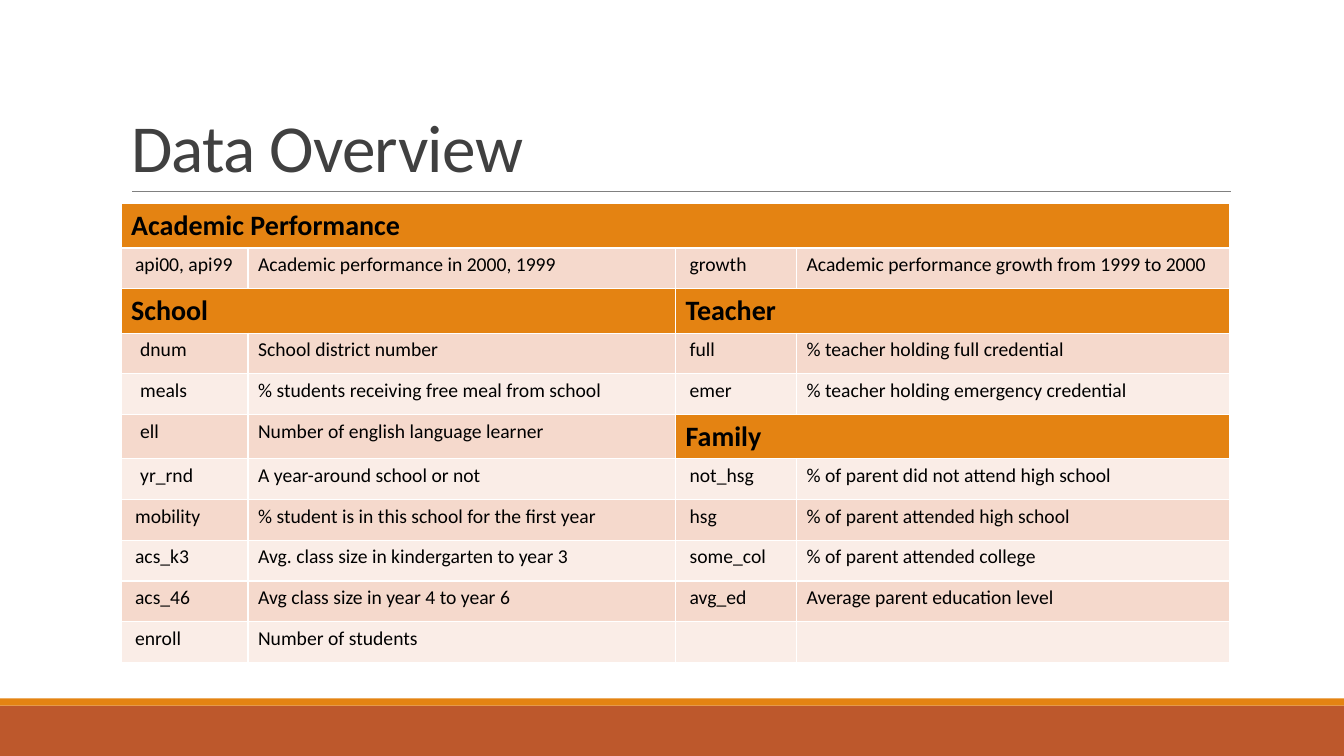
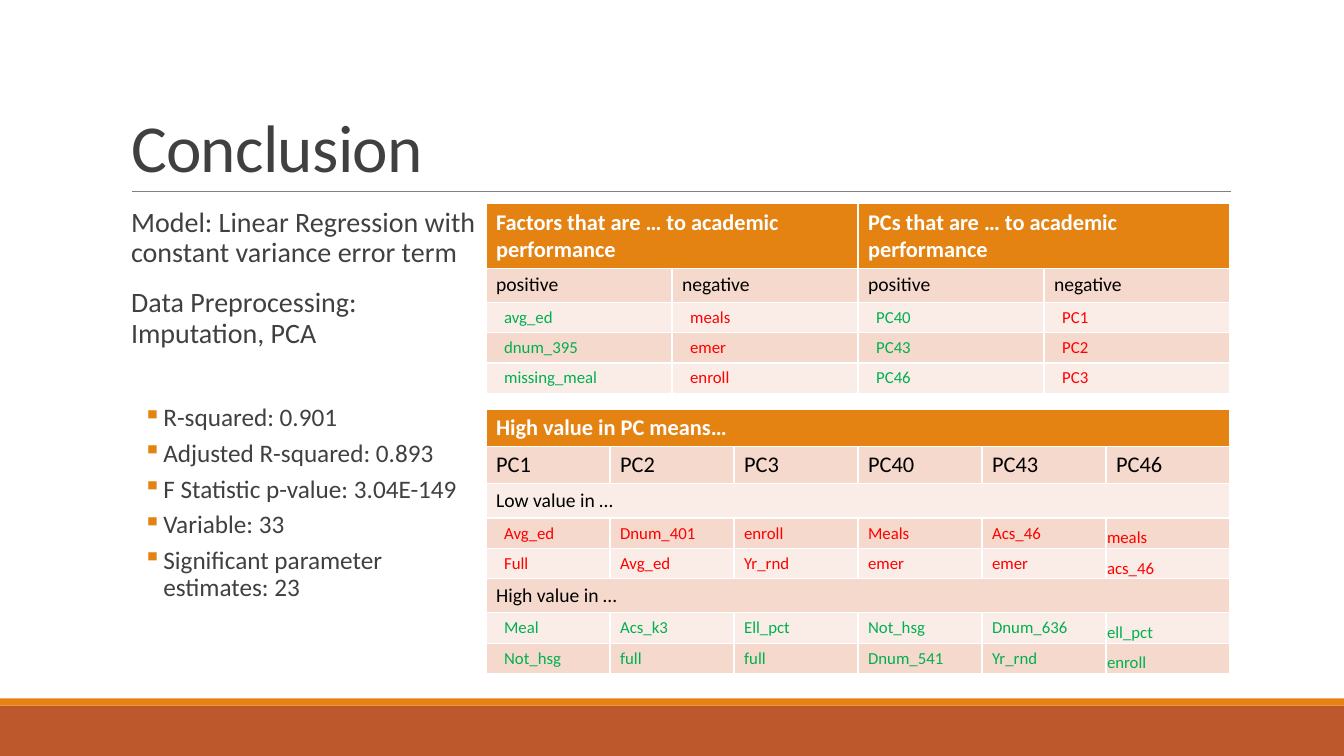
from dataclasses import dataclass

from lxml import etree
from pptx import Presentation
from pptx.dml.color import RGBColor
from pptx.enum.shapes import MSO_CONNECTOR, MSO_SHAPE
from pptx.enum.text import MSO_ANCHOR, MSO_AUTO_SIZE, PP_ALIGN
from pptx.oxml.ns import qn
from pptx.util import Inches, Pt

RECTANGLE = MSO_SHAPE.RECTANGLE
STRAIGHT = MSO_CONNECTOR.STRAIGHT
BOTTOM = MSO_ANCHOR.BOTTOM
TOP = MSO_ANCHOR.TOP
LEFT = PP_ALIGN.LEFT
NO_AUTOFIT = MSO_AUTO_SIZE.NONE

BLACK = RGBColor(0x00, 0x00, 0x00)
WHITE = RGBColor(0xFF, 0xFF, 0xFF)
DARK_GRAY = RGBColor(0x40, 0x40, 0x40)
RULE_GRAY = RGBColor(0x80, 0x80, 0x80)
ORANGE = RGBColor(0xE4, 0x83, 0x12)
RUST = RGBColor(0xBD, 0x58, 0x2C)
BAND_DARK = RGBColor(0xF5, 0xD9, 0xCC)
BAND_LIGHT = RGBColor(0xFA, 0xED, 0xE7)
GREEN = RGBColor(0x00, 0xB0, 0x50)
RED = RGBColor(0xFF, 0x00, 0x00)

FONT = "Calibri"
SLIDE_WIDTH = 13.33
CONTENT_LEFT = 1.2
CONTENT_TOP = 2.02
CONTENT_WIDTH = 11
TABLE_LEFT = 4.82
TABLE_WIDTH = 7.38
ROW_HEIGHTS = {16: 0.37, 14: 0.34, 12: 0.3}


@dataclass
class Cell:
    text: str
    size: int = 14
    color: RGBColor = BLACK
    span: int = 1
    heading: bool = False
    indent: float = 0
    tight: bool = False


def add_run(paragraph, text, size, color, bold=False):
    run = paragraph.add_run()
    run.text = text
    run.font.name = FONT
    run.font.size = Pt(size)
    run.font.bold = bold
    run.font.color.rgb = color
    return run


def add_band(slide, top, height, color):
    band = slide.shapes.add_shape(
        RECTANGLE, 0, Inches(top), Inches(SLIDE_WIDTH), Inches(height)
    )
    band.shadow.inherit = False
    band.fill.solid()
    band.fill.fore_color.rgb = color
    band.line.fill.background()
    return band


def add_rule(slide):
    rule = slide.shapes.add_connector(
        STRAIGHT, Inches(1.31), Inches(1.9), Inches(12.21), Inches(1.9)
    )
    rule.line.color.rgb = RULE_GRAY
    rule.line.width = Pt(0.5)
    etree.SubElement(rule.element.spPr, qn("a:effectLst"))
    return rule


def decorate_layout(layout, slide):
    decorations = [
        add_band(slide, 7, 0.5, RUST),
        add_band(slide, 6.93, 0.07, ORANGE),
        add_rule(slide),
    ]
    for decoration in decorations:
        layout.shapes.element.append(decoration.element)


def set_title(slide, text):
    title = slide.shapes.title
    title.left, title.top = Inches(CONTENT_LEFT), Inches(0.31)
    title.width, title.height = Inches(CONTENT_WIDTH), Inches(1.59)
    frame = title.text_frame
    frame.auto_size = NO_AUTOFIT
    frame.vertical_anchor = BOTTOM
    paragraph = frame.paragraphs[0]
    paragraph.alignment = LEFT
    paragraph.line_spacing = 0.85
    run = add_run(paragraph, text, 48, DARK_GRAY)
    run.font._element.set("spc", "-50")


def fill_cell(table_cell, cell, band_color):
    table_cell.fill.solid()
    table_cell.fill.fore_color.rgb = ORANGE if cell.heading else band_color
    if cell.tight:
        table_cell.margin_left = table_cell.margin_right = Inches(0.01)
        table_cell.margin_top = Inches(0.01)
        table_cell.margin_bottom = 0
        table_cell.vertical_anchor = BOTTOM
    else:
        table_cell.margin_left = Inches(0.1 + cell.indent)
    add_run(table_cell.text_frame.paragraphs[0], cell.text,
            cell.size, cell.color, cell.heading)


def add_grid(slide, left, top, widths, heights, rows):
    table = slide.shapes.add_table(
        len(rows), len(widths), Inches(left), Inches(top),
        Inches(sum(widths)), Inches(sum(heights)),
    ).table
    for column, width in zip(table.columns, widths):
        column.width = Inches(width)
    for row, height in zip(table.rows, heights):
        row.height = Inches(height)
    for row_index, cells in enumerate(rows):
        band_color = BAND_DARK if row_index % 2 else BAND_LIGHT
        column_index = 0
        for cell in cells:
            table_cell = table.cell(row_index, column_index)
            last_column = column_index + cell.span - 1
            if cell.span > 1:
                table_cell.merge(table.cell(row_index, last_column))
            fill_cell(table_cell, cell, band_color)
            column_index = last_column + 1


def add_bullet(paragraph, character):
    properties = paragraph._p.get_or_add_pPr()
    color = etree.SubElement(properties, qn("a:buClr"))
    etree.SubElement(color, qn("a:srgbClr")).set("val", str(ORANGE))
    etree.SubElement(properties, qn("a:buChar")).set("char", character)


def add_summary(slide, statements, results):
    box = slide.shapes.add_textbox(
        Inches(CONTENT_LEFT), Inches(CONTENT_TOP), Inches(3.62), Inches(4.4)
    )
    frame = box.text_frame
    frame.word_wrap = True
    frame.vertical_anchor = TOP
    frame.margin_left = frame.margin_right = 0
    for index, text in enumerate(statements + results):
        paragraph = frame.add_paragraph() if index else frame.paragraphs[0]
        paragraph.line_spacing = 0.9
        is_result = index >= len(statements)
        if is_result:
            first_result = index == len(statements)
            paragraph.space_before = Pt(38 if first_result else 2)
            paragraph.space_after = Pt(4)
            paragraph.level = 1
        else:
            paragraph.space_before = Pt(12)
            paragraph.space_after = Pt(2)
        margin, hanging = (0.42, -0.2) if is_result else (0.1, 0)
        properties = paragraph._p.get_or_add_pPr()
        properties.set("marL", str(Inches(margin)))
        properties.set("indent", str(Inches(hanging)))
        if is_result:
            add_bullet(paragraph, "▪")
        add_run(paragraph, text, 18 if is_result else 20, DARK_GRAY)


def section(text, span):
    return Cell(text, 20, BLACK, span, heading=True)


def heading(text, span):
    return Cell(text, 16, WHITE, span, heading=True)


def variable(name, description, indent=0.04):
    return [Cell(name, indent=indent), Cell(description)]


def school_variable(name, description):
    return variable(name, description, 0.09)


def factor_row(*names):
    return [
        Cell(name, 12, RED if index % 2 else GREEN, indent=0.08)
        for index, name in enumerate(names)
    ]


def component_row(color, *names):
    last = len(names) - 1
    return [
        Cell(name, 12, color, indent=0 if index else 0.08, tight=index == last)
        for index, name in enumerate(names)
    ]


def build_overview(slide):
    set_title(slide, "Data Overview")
    rows = [
        [section("Academic Performance", 4)],
        variable("api00, api99", "Academic performance in 2000, 1999")
        + variable("growth", "Academic performance growth from 1999 to 2000"),
        [section("School", 2), section("Teacher", 2)],
        school_variable("dnum", "School district number")
        + variable("full", "% teacher holding full credential"),
        school_variable("meals", "% students receiving free meal from school")
        + variable("emer", "% teacher holding emergency credential"),
        school_variable("ell", "Number of english language learner")
        + [section("Family", 2)],
        school_variable("yr_rnd", "A year-around school or not")
        + variable("not_hsg", "% of parent did not attend high school"),
        variable("mobility", "% student is in this school for the first year")
        + variable("hsg", "% of parent attended high school"),
        variable("acs_k3", "Avg. class size in kindergarten to year 3")
        + variable("some_col", "% of parent attended college"),
        variable("acs_46", "Avg class size in year 4 to year 6")
        + variable("avg_ed", "Average parent education level"),
        variable("enroll", "Number of students") + variable("", ""),
    ]
    section_height = 0.44
    has_section = [any(cell.heading for cell in row) for row in rows]
    section_count = sum(has_section)
    plain_height = (4.55 - section_count * section_height) / (len(rows) - section_count)
    heights = [section_height if found else plain_height for found in has_section]
    add_grid(slide, CONTENT_LEFT, CONTENT_TOP, [1.26, 4.24, 1.2, 4.3], heights, rows)


def build_conclusion(slide):
    set_title(slide, "Conclusion")
    add_summary(
        slide,
        [
            "Model: Linear Regression with constant variance error term",
            "Data Preprocessing: Imputation, PCA",
        ],
        [
            "R-squared: 0.901",
            "Adjusted R-squared: 0.893",
            "F Statistic p-value: 3.04E-149",
            "Variable: 33",
            "Significant parameter estimates: 23",
        ],
    )
    factors = [
        [heading("Factors that are … to academic performance", 2),
         heading("PCs that are … to academic performance", 2)],
        [Cell(sign) for sign in ("positive", "negative") * 2],
        factor_row("avg_ed", "meals", "PC40", "PC1"),
        factor_row("dnum_395", "emer", "PC43", "PC2"),
        factor_row("missing_meal", "enroll", "PC46", "PC3"),
    ]
    components = [
        [heading("High value in PC means…", 6)],
        [Cell(name, 16) for name in ("PC1", "PC2", "PC3", "PC40", "PC43", "PC46")],
        [Cell("Low value in …", span=6)],
        component_row(RED, "Avg_ed", "Dnum_401", "enroll", "Meals", "Acs_46", "meals"),
        component_row(RED, "Full", "Avg_ed", "Yr_rnd", "emer", "emer", "acs_46"),
        [Cell("High value in …", span=6)],
        component_row(GREEN, "Meal", "Acs_k3", "Ell_pct", "Not_hsg", "Dnum_636", "ell_pct"),
        component_row(GREEN, "Not_hsg", "full", "full", "Dnum_541", "Yr_rnd", "enroll"),
    ]
    for top, column_count, rows in ((CONTENT_TOP, 4, factors), (4.06, 6, components)):
        widths = [TABLE_WIDTH / column_count] * column_count
        heights = [ROW_HEIGHTS[row[0].size] for row in rows]
        if rows is factors:
            heights[0] = 0.64
        add_grid(slide, TABLE_LEFT, top, widths, heights, rows)


def main():
    presentation = Presentation()
    presentation.slide_width = Inches(SLIDE_WIDTH)
    presentation.slide_height = Inches(7.5)
    layout = presentation.slide_layouts[5]
    overview, conclusion = [presentation.slides.add_slide(layout) for _ in range(2)]
    decorate_layout(layout, overview)
    build_overview(overview)
    build_conclusion(conclusion)
    presentation.save("out.pptx")


if __name__ == "__main__":
    main()
